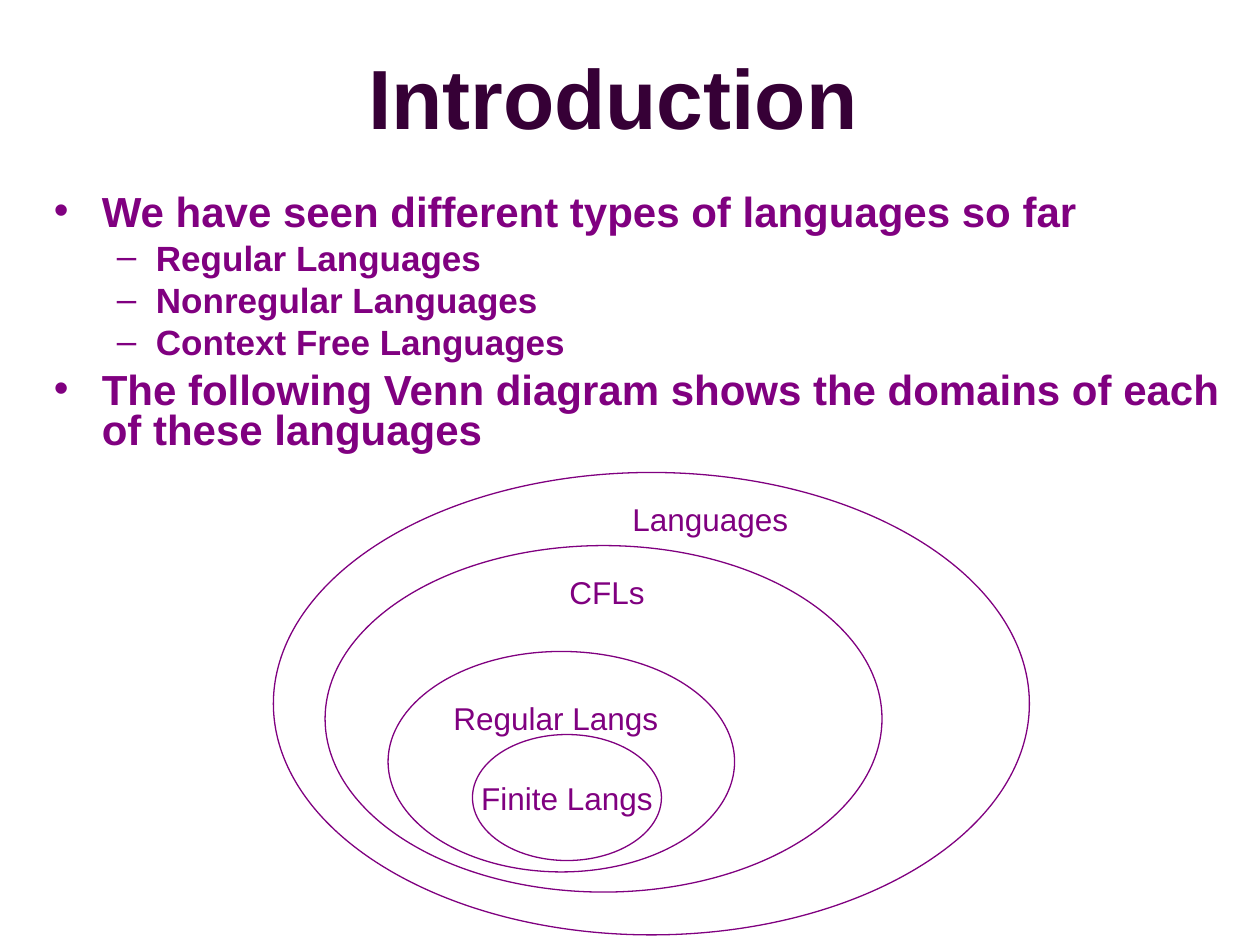
from lxml.etree import SubElement as Sub
from pptx import Presentation
from pptx.dml.color import RGBColor as Rgb
from pptx.enum.shapes import MSO_SHAPE as Shape
from pptx.enum.text import MSO_ANCHOR as Anchor, MSO_AUTO_SIZE as Auto, PP_ALIGN as Align
from pptx.oxml.ns import qn
from pptx.util import Inches, Pt

PURPLE = "800080"
DARK = "360036"
POINTS = [
    (0, "We have seen different types of languages so far"),
    (1, "Regular Languages"),
    (1, "Nonregular Languages"),
    (1, "Context Free Languages"),
    (0, "The following Venn diagram shows the domains of each of these languages"),
]
LEVELS = [("•", 0.38, 0.38, 24, 6), ("–", 0.81, 0.31, 20, 5)]


def paint(target, color):
    target.rgb = Rgb.from_string(color)


def write(para, text, size=18, color=PURPLE, bold=False, align=Align.LEFT):
    para.alignment = align
    run = para.add_run()
    run.text = text
    font = run.font
    font.name, font.size, font.bold = "Arial", Pt(size), bold
    paint(font.color, color)


def mark(para, sign, left, hang):
    props = para._p.get_or_add_pPr()
    props.set("marL", str(Inches(left)))
    props.set("indent", str(-Inches(hang)))
    tint = Sub(props, qn("a:buClr"))
    Sub(tint, qn("a:srgbClr"), val=PURPLE)
    Sub(props, qn("a:buFont"), typeface="Arial")
    Sub(props, qn("a:buChar"), char=sign)


def add_title(slide, text):
    title = slide.shapes.title
    title.left, title.top = Inches(0.83), Inches(0.17)
    title.width, title.height = Inches(8.07), Inches(1.19)
    frame = title.text_frame
    frame.vertical_anchor = Anchor.MIDDLE
    write(frame.paragraphs[0], text, size=48, color=DARK, bold=True, align=Align.CENTER)


def add_list(slide, points):
    box = slide.shapes.add_textbox(Inches(0.33), Inches(1.5), Inches(9.5), Inches(2.25))
    frame = box.text_frame
    frame.word_wrap = True
    for i, (level, text) in enumerate(points):
        para = frame.add_paragraph() if i else frame.paragraphs[0]
        sign, left, hang, size, gap = LEVELS[level]
        mark(para, sign, left, hang)
        para.level = level
        para.line_spacing = 0.8
        para.space_before = Pt(gap if i else 0)
        write(para, text, size=size, bold=True)


def add_oval(group, left, top, width, height, text=None):
    oval = group.shapes.add_shape(
        Shape.OVAL, Inches(left), Inches(top), Inches(width), Inches(height))
    oval.shadow.inherit = False
    oval.fill.background()
    paint(oval.line.color, PURPLE)
    oval.line.width = Pt(0.75)
    if text:
        frame = oval.text_frame
        frame.word_wrap = False
        frame.vertical_anchor = Anchor.MIDDLE
        write(frame.paragraphs[0], text, align=Align.CENTER)


def add_label(group, left, top, width, text):
    box = group.shapes.add_textbox(Inches(left), Inches(top), Inches(width), Inches(0.4))
    frame = box.text_frame
    frame.word_wrap = True
    frame.auto_size = Auto.SHAPE_TO_FIT_TEXT
    write(frame.paragraphs[0], text)


def add_venn(slide):
    group = slide.shapes.add_group_shape()
    add_oval(group, 2.17, 3.75, 6, 3.67)
    add_oval(group, 3.75, 5.83, 1.5, 1, "Finite Langs")
    add_oval(group, 3.08, 5.17, 2.75, 1.75)
    add_label(group, 3.5, 5.5, 1.9, "Regular Langs")
    add_oval(group, 2.58, 4.33, 4.42, 2.75)
    add_label(group, 4.42, 4.5, 0.92, "CFLs")
    add_label(group, 4.92, 3.92, 1.58, "Languages")


def main():
    deck = Presentation()
    deck.slide_width, deck.slide_height = Inches(10), Inches(7.5)
    slide = deck.slides.add_slide(deck.slide_layouts[5])
    add_title(slide, "Introduction")
    add_list(slide, POINTS)
    add_venn(slide)
    deck.save("out.pptx")


if __name__ == "__main__":
    main()
